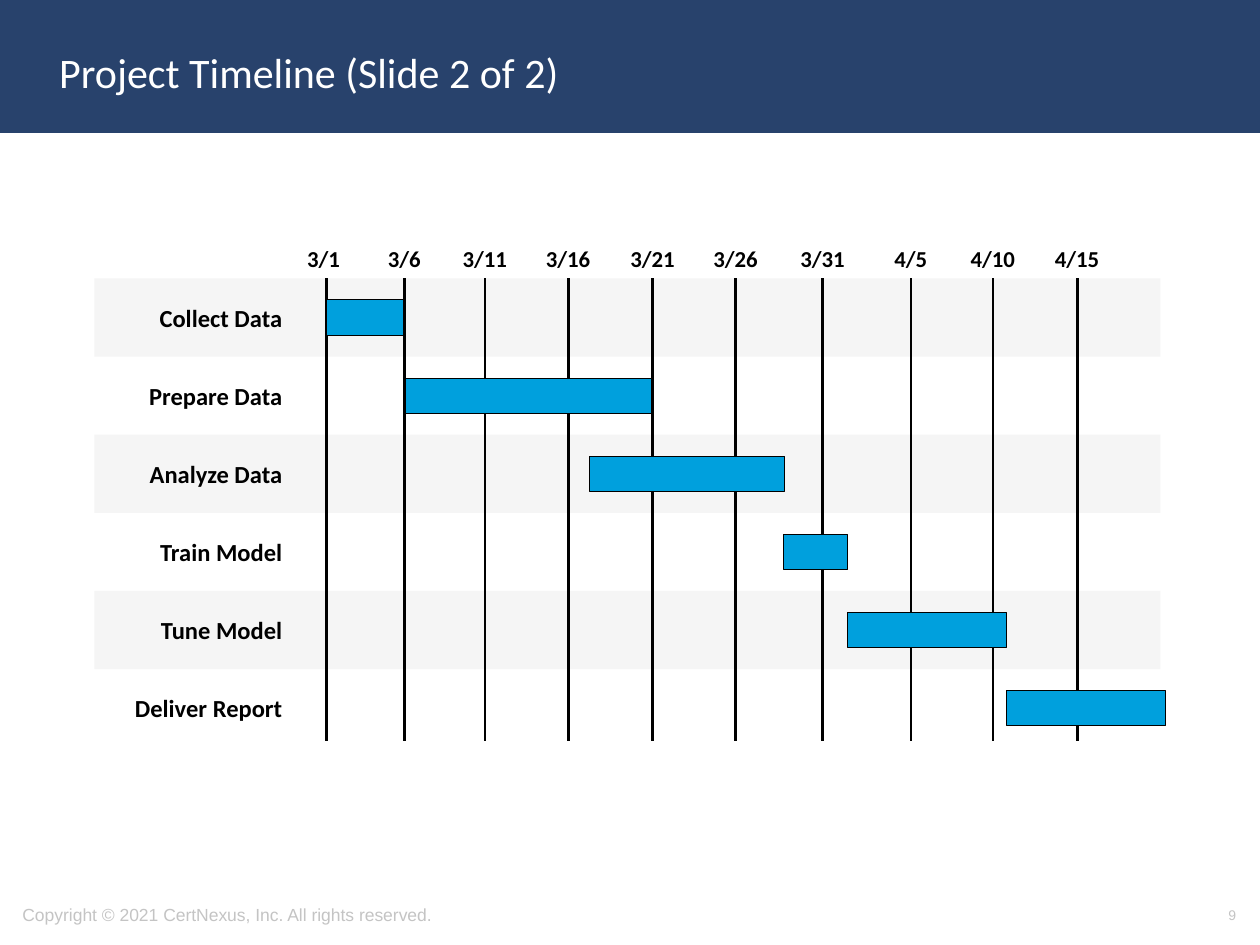
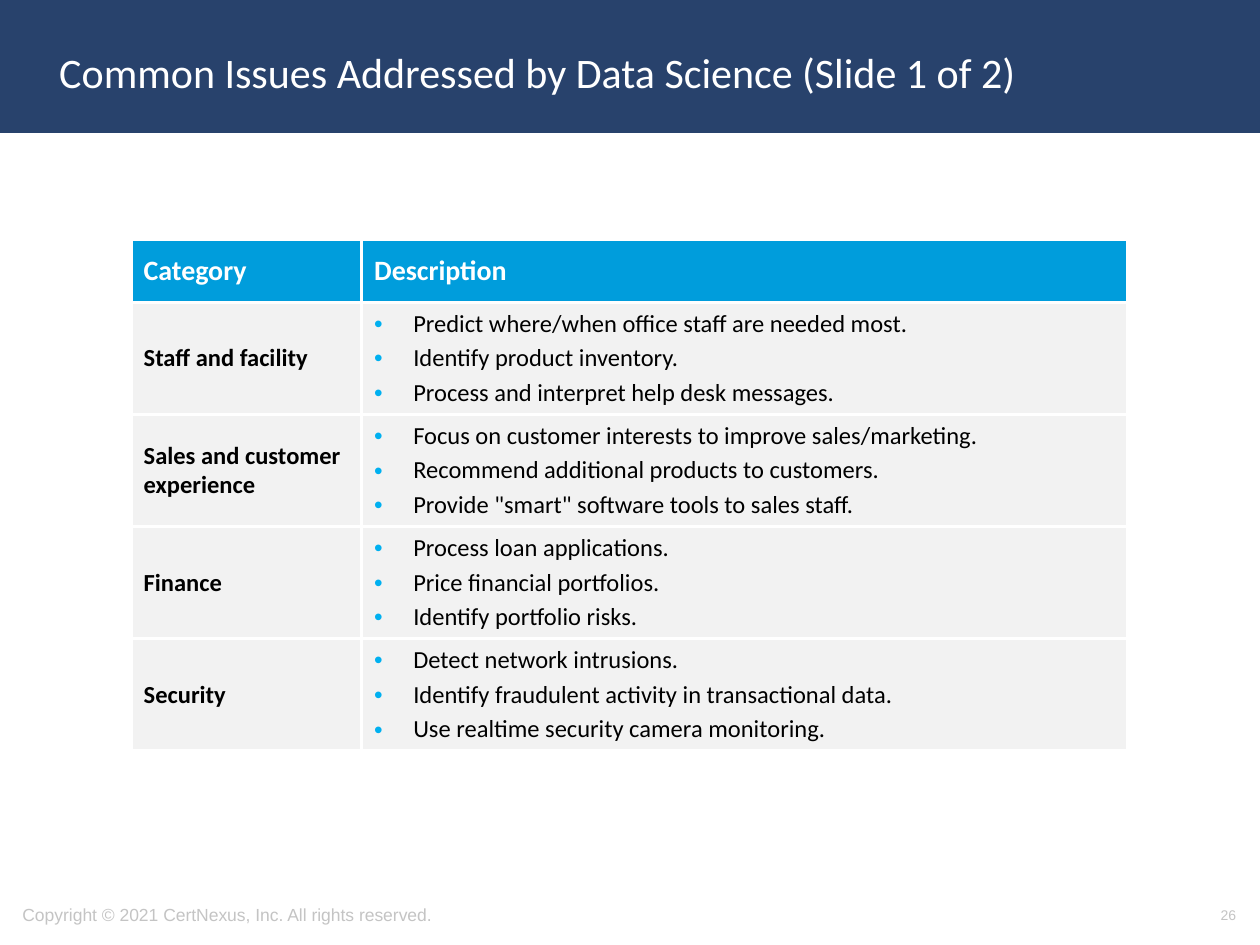
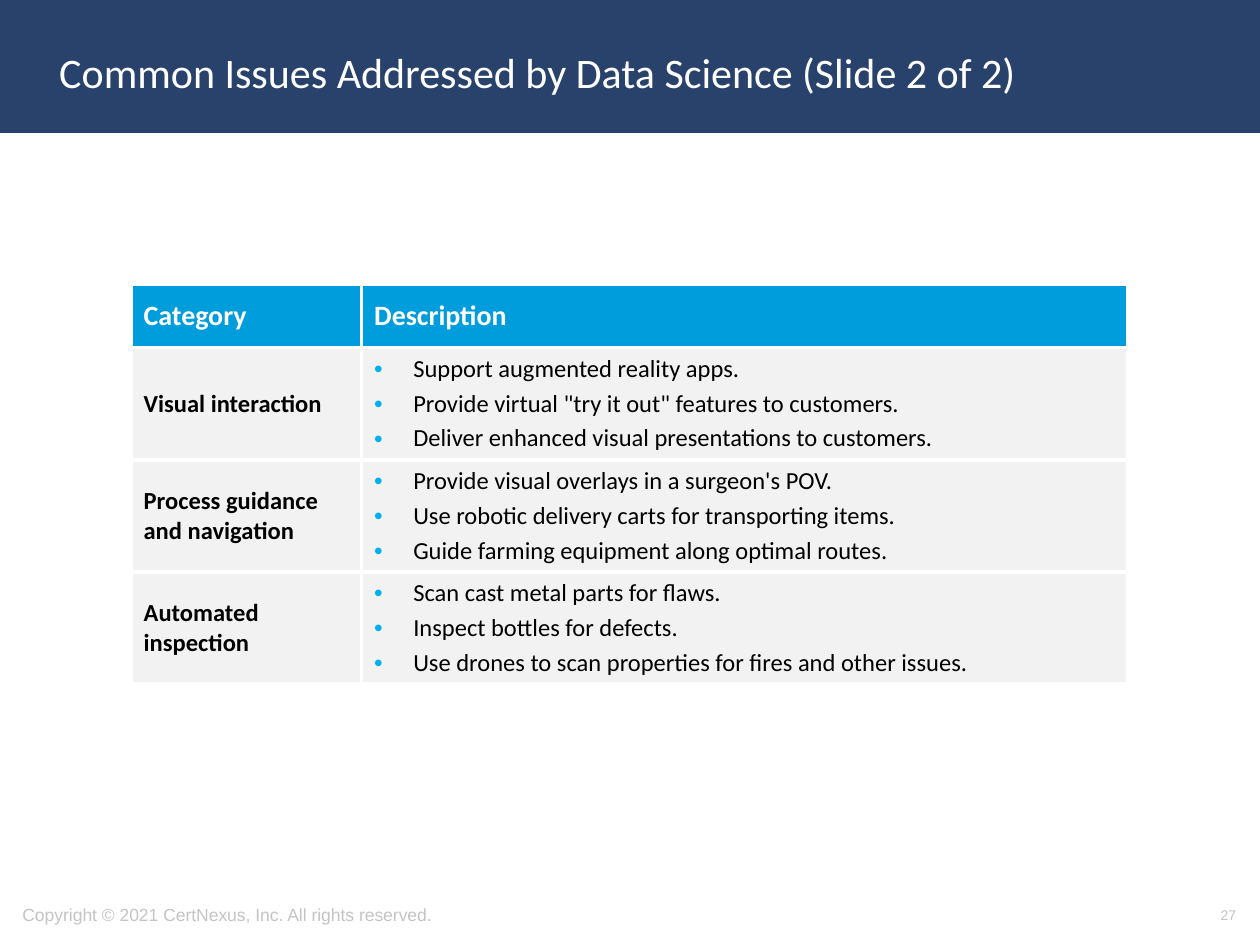
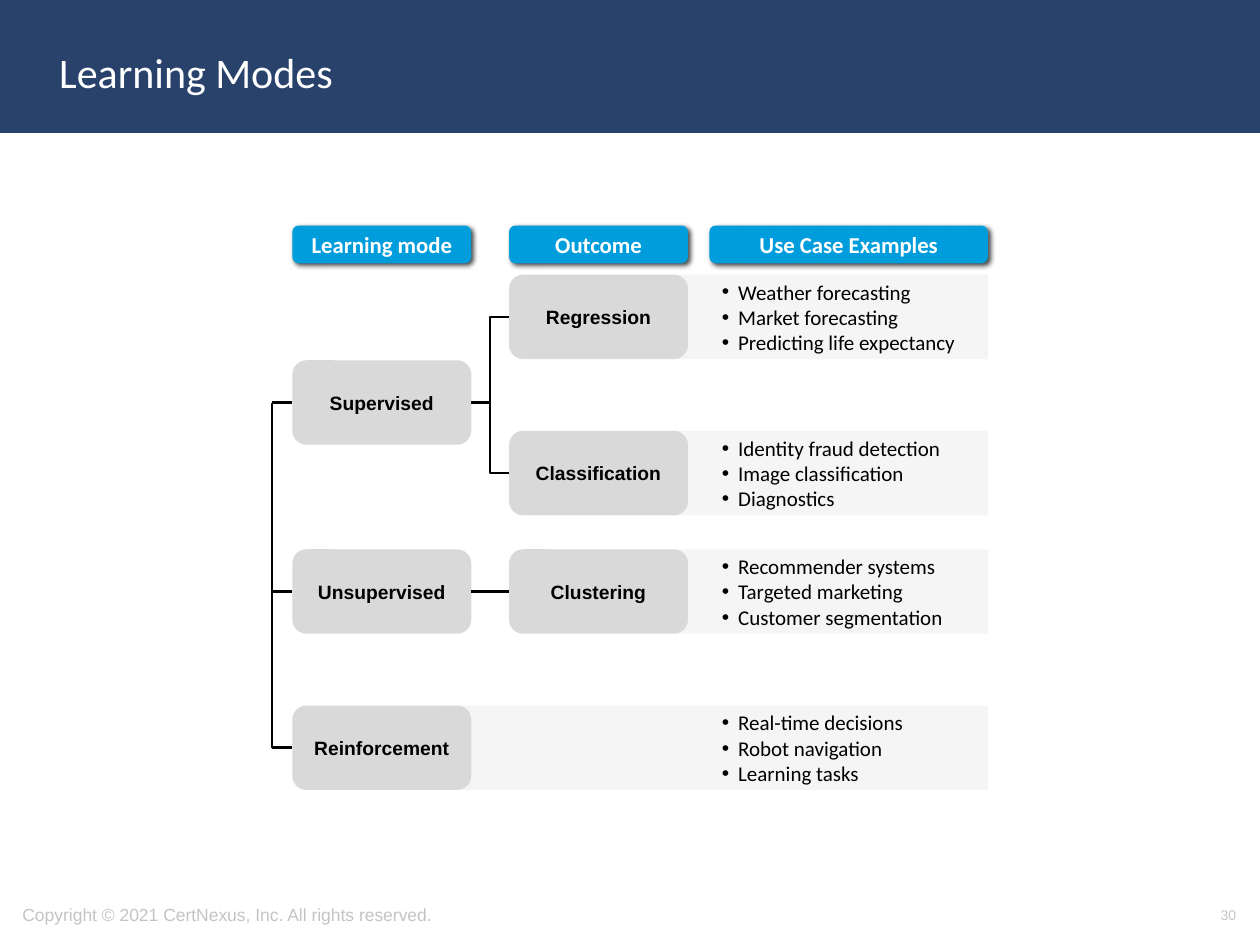
from lxml import etree
from pptx import Presentation
from pptx.dml.color import RGBColor
from pptx.enum.shapes import MSO_CONNECTOR, MSO_SHAPE
from pptx.enum.text import MSO_ANCHOR, PP_ALIGN
from pptx.oxml.ns import qn
from pptx.util import Inches, Pt

LEFT, CENTER, RIGHT = PP_ALIGN.LEFT, PP_ALIGN.CENTER, PP_ALIGN.RIGHT
TOP, MIDDLE = MSO_ANCHOR.TOP, MSO_ANCHOR.MIDDLE
RECTANGLE, ROUNDED = MSO_SHAPE.RECTANGLE, MSO_SHAPE.ROUNDED_RECTANGLE
STRAIGHT, ELBOW = MSO_CONNECTOR.STRAIGHT, MSO_CONNECTOR.ELBOW
RIGHT_SIDE, LEFT_SIDE = 3, 1

NAVY, WHITE, BLACK, GREY = "28426C", "FFFFFF", "000000", "C4C4C4"
HEADER_BLUE, BAR_BLUE, BULLET_BLUE = "009DDC", "00A0DD", "00B0F0"
STRIPE, CELL_GREY, NODE_GREY = "F5F5F5", "F2F2F2", "D9D9D9"

TITLE = {"name": "Calibri", "size": Pt(24), "bold": False, "color": WHITE}
COPYRIGHT = {"name": "Arial", "size": Pt(10), "color": GREY}
PAGE_NUMBER = {**COPYRIGHT, "size": Pt(8)}
DATE = {"name": "Calibri", "size": Pt(13), "bold": True, "color": BLACK}
TASK = {**DATE, "size": Pt(14)}
DETAIL = {**TASK, "bold": False}
TABLE_HEADER = {**DATE, "size": Pt(16), "color": WHITE}
COLUMN_HEADER = {**DATE, "color": WHITE}
NODE = {"name": "Arial", "size": Pt(11), "bold": True, "color": BLACK}
USE_CASE = {**DETAIL, "size": Pt(12)}

COPYRIGHT_TEXT = "Copyright © 2021 CertNexus, Inc. All rights reserved."

DATES = [("3/1", 2.59), ("3/6", 3.21), ("3/11", 3.85), ("3/16", 4.51), ("3/21", 5.18),
         ("3/26", 5.84), ("3/31", 6.53), ("4/5", 7.23), ("4/10", 7.88), ("4/15", 8.55)]
TASKS = [("Collect Data", 2.59, 3.2), ("Prepare Data", 3.22, 5.17),
         ("Analyze Data", 4.68, 6.23), ("Train Model", 6.22, 6.73),
         ("Tune Model", 6.73, 7.99), ("Deliver Report", 7.99, 9.25)]

ISSUES_ONE = [
    ("Staff and facility", ["Predict where/when office staff are needed most.",
                            "Identify product inventory.",
                            "Process and interpret help desk messages."]),
    ("Sales and customer experience",
     ["Focus on customer interests to improve sales/marketing.",
      "Recommend additional products to customers.",
      'Provide "smart" software tools to sales staff.']),
    ("Finance", ["Process loan applications.", "Price financial portfolios.",
                 "Identify portfolio risks."]),
    ("Security", ["Detect network intrusions.",
                  "Identify fraudulent activity in transactional data.",
                  "Use realtime security camera monitoring."]),
]
ISSUES_TWO = [
    ("Visual interaction", ["Support augmented reality apps.",
                            'Provide virtual "try it out" features to customers.',
                            "Deliver enhanced visual presentations to customers."]),
    ("Process guidance and navigation",
     ["Provide visual overlays in a surgeon's POV.",
      "Use robotic delivery carts for transporting items.",
      "Guide farming equipment along optimal routes."]),
    ("Automated inspection", ["Scan cast metal parts for flaws.",
                              "Inspect bottles for defects.",
                              "Use drones to scan properties for fires and other issues."]),
]

MODES = [("Supervised", 1.07), ("Unsupervised", 2.57), ("Reinforcement", 3.81)]
OUTCOMES = [("Regression", 0.39, "Supervised"), ("Classification", 1.63, "Supervised"),
            ("Clustering", 2.57, "Unsupervised")]
USE_CASES = [
    (0.39, 3.0, ["Weather forecasting", "Market forecasting", "Predicting life expectancy"]),
    (1.63, 3.0, ["Identity fraud detection", "Image classification", "Diagnostics"]),
    (2.57, 3.0, ["Recommender systems", "Targeted marketing", "Customer segmentation"]),
    (3.81, 1.17, ["Real-time decisions", "Robot navigation", "Learning tasks"]),
]


def rgb(value):
    return RGBColor.from_string(value)


def add_element(parent, tag, **attributes):
    return etree.SubElement(parent, qn(tag),
                            {name: str(value) for name, value in attributes.items()})


def format_run(run, style):
    for name, value in style.items():
        if name == "color":
            run.font.color.rgb = rgb(value)
        else:
            setattr(run.font, name, value)


def add_bullet(paragraph, indent, color):
    properties = paragraph._p.get_or_add_pPr()
    properties.set("marL", str(Inches(indent)))
    properties.set("indent", str(-Inches(indent)))
    add_element(add_element(properties, "a:buClr"), "a:srgbClr", val=color)
    add_element(properties, "a:buFont", typeface="Arial")
    add_element(properties, "a:buChar", char="•")


def write(frame, lines, style, align=LEFT, anchor=MIDDLE, gap=0, bullet=None):
    frame.word_wrap = True
    frame.vertical_anchor = anchor
    for index, line in enumerate(lines):
        paragraph = frame.add_paragraph() if index else frame.paragraphs[0]
        paragraph.alignment = align
        paragraph.space_before = Pt(gap if index else 0)
        if bullet:
            add_bullet(paragraph, *bullet)
        run = paragraph.add_run()
        run.text = line
        format_run(run, style)


def add_text(slide, box, lines, style, **options):
    shape = slide.shapes.add_textbox(*map(Inches, box))
    write(shape.text_frame, lines, style, **options)
    return shape


def add_box(slide, kind, box, fill, line=None, line_width=0.5):
    shape = slide.shapes.add_shape(kind, *map(Inches, box))
    shape.shadow.inherit = False
    shape.fill.solid()
    shape.fill.fore_color.rgb = rgb(fill)
    if line:
        shape.line.color.rgb = rgb(line)
        shape.line.width = Pt(line_width)
    else:
        shape.line.fill.background()
    return shape


def add_line(slide, start, end, kind=STRAIGHT, begin_node=None, end_node=None):
    connector = slide.shapes.add_connector(kind, *map(Inches, (*start, *end)))
    if begin_node:
        connector.begin_connect(begin_node, RIGHT_SIDE)
    if end_node:
        connector.end_connect(end_node, LEFT_SIDE)
    connector.line.color.rgb = rgb(BLACK)
    connector.line.width = Pt(1.5)
    add_element(connector._element.spPr, "a:effectLst")


def add_slide(presentation, title, number):
    slide = presentation.slides.add_slide(presentation.slide_layouts[5])
    band = add_box(slide, RECTANGLE, (0, 0, 10, 1.04), NAVY, NAVY, 2)
    slide.shapes._spTree.insert(2, band._element)
    placeholder = slide.shapes.title
    frame = {"left": 0.37, "top": 0.11, "width": 8.62, "height": 0.92}
    for name, value in frame.items():
        setattr(placeholder, name, Inches(value))
    write(placeholder.text_frame, [title], TITLE)
    add_text(slide, (0.08, 7.06, 5.27, 0.4), [COPYRIGHT_TEXT], COPYRIGHT)
    add_text(slide, (7.58, 7.06, 2.33, 0.4), [str(number)], PAGE_NUMBER, align=RIGHT)
    return slide


def add_date_row(slide, left, top, width):
    shape = add_text(slide, (left, top, width, 0.32),
                     ["\t".join(date for date, _ in DATES)], DATE, anchor=TOP)
    tabs = add_element(shape.text_frame.paragraphs[0]._p.get_or_add_pPr(), "a:tabLst")
    for _, x in DATES[1:]:
        add_element(tabs, "a:tab", pos=Inches(x - left - 0.1), algn="ctr")


def add_timeline(slide, left, top, width, row_height):
    label_right = left + 1.59
    for index in range(0, len(TASKS), 2):
        add_box(slide, RECTANGLE, (left, top + index * row_height, width, row_height), STRIPE)
    add_date_row(slide, label_right, top - 0.32, left + width - label_right)
    for _, x in DATES:
        add_line(slide, (x, top), (x, top + 3.67))
    for index, (task, start, end) in enumerate(TASKS):
        row_top = top + index * row_height
        add_text(slide, (label_right - 1.46, row_top, 1.46, row_height), [task], TASK,
                 align=RIGHT)
        add_box(slide, RECTANGLE, (start, row_top + 0.17, end - start, 0.28), BAR_BLUE, BLACK)


def add_borders(cell):
    properties = cell._tc.get_or_add_tcPr()
    for index, side in enumerate(("a:lnL", "a:lnR", "a:lnT", "a:lnB")):
        border = add_element(properties, side, w=Pt(2.25))
        add_element(add_element(border, "a:solidFill"), "a:srgbClr", val=WHITE)
        properties.insert(index, border)


def fill_cell(cell, lines, style, fill, **options):
    cell.fill.solid()
    cell.fill.fore_color.rgb = rgb(fill)
    cell.vertical_anchor = MIDDLE
    write(cell.text_frame, lines, style, **options)
    add_borders(cell)


def add_issue_table(slide, left, top, issues):
    header_height, row_height, widths = 0.5, 0.89, (1.83, 6.08)
    box = (left, top, sum(widths), header_height + row_height * len(issues))
    table = slide.shapes.add_table(len(issues) + 1, 2, *map(Inches, box)).table
    for column, width in zip(table.columns, widths):
        column.width = Inches(width)
    for index, row in enumerate(table.rows):
        row.height = Inches(row_height if index else header_height)
    for column, heading in enumerate(("Category", "Description")):
        fill_cell(table.cell(0, column), [heading], TABLE_HEADER, HEADER_BLUE)
    for row, (category, examples) in enumerate(issues, 1):
        fill_cell(table.cell(row, 0), [category], TASK, CELL_GREY)
        fill_cell(table.cell(row, 1), examples, DETAIL, CELL_GREY,
                  gap=2.8, bullet=(0.31, BULLET_BLUE))


def add_column_header(slide, box, text):
    shape = add_box(slide, ROUNDED, box, HEADER_BLUE)
    write(shape.text_frame, [text], COLUMN_HEADER, align=CENTER)
    effects = shape._element.spPr.find(qn("a:effectLst"))
    shadow = add_element(effects, "a:outerShdw", blurRad=Pt(3), dist=Pt(2),
                         dir=45 * 60000, algn="tl", rotWithShape=0)
    color = add_element(shadow, "a:srgbClr", val=BLACK)
    add_element(color, "a:alpha", val=75000)


def add_use_cases(slide, box, text_left, cases):
    band = add_box(slide, RECTANGLE, box, NODE_GREY)
    color = band._element.spPr.find(qn("a:solidFill")).find(qn("a:srgbClr"))
    add_element(color, "a:alpha", val=26000)
    left, top, width, height = box
    add_text(slide, (text_left, top - 0.02, left + width - text_left, height + 0.04),
             cases, USE_CASE, bullet=(0.13, BLACK))


def add_node(slide, box, text):
    shape = add_box(slide, ROUNDED, box, NODE_GREY)
    write(shape.text_frame, [text], NODE, align=CENTER)
    return shape


def add_learning_modes(slide, left, top):
    node_width, node_height = 1.42, 0.67
    outcome_left, case_left, right = left + 1.72, left + 3.31, left + 5.52
    for row, band_start, cases in USE_CASES:
        band_left = left + band_start
        add_use_cases(slide, (band_left, top + row, right - band_left, node_height),
                      case_left, cases)
    middles = {mode: top + row + node_height / 2 for mode, row in MODES}
    nodes = {mode: add_node(slide, (left, top + row, node_width, node_height), mode)
             for mode, row in MODES}
    trunk = left - 0.16
    add_line(slide, (trunk, middles["Supervised"]), (trunk, middles["Reinforcement"]))
    for mode, middle in middles.items():
        add_line(slide, (trunk, middle), (left, middle), end_node=nodes[mode])
    for outcome, row, mode in OUTCOMES:
        node = add_node(slide, (outcome_left, top + row, node_width, node_height), outcome)
        middle = top + row + node_height / 2
        add_line(slide, (left + node_width, middles[mode]), (outcome_left, middle),
                 STRAIGHT if middle == middles[mode] else ELBOW, nodes[mode], node)
    headers = [("Learning mode", left, node_width), ("Outcome", outcome_left, node_width),
               ("Use Case Examples", case_left, right - case_left)]
    for text, header_left, width in headers:
        add_column_header(slide, (header_left, top, width, 0.3), text)


def main():
    presentation = Presentation()
    presentation.slide_width = Inches(10)
    presentation.slide_height = Inches(7.5)
    slide = add_slide(presentation, "Project Timeline (Slide 2 of 2)", 9)
    add_timeline(slide, 0.75, 2.21, 8.46, 0.62)
    for part, number, top, issues in ((1, 26, 1.9, ISSUES_ONE), (2, 27, 2.26, ISSUES_TWO)):
        title = f"Common Issues Addressed by Data Science (Slide {part} of 2)"
        add_issue_table(add_slide(presentation, title, number), 1.04, top, issues)
    slide = add_slide(presentation, "Learning Modes", 30)
    add_learning_modes(slide, 2.32, 1.79)
    presentation.save("out.pptx")


if __name__ == "__main__":
    main()
